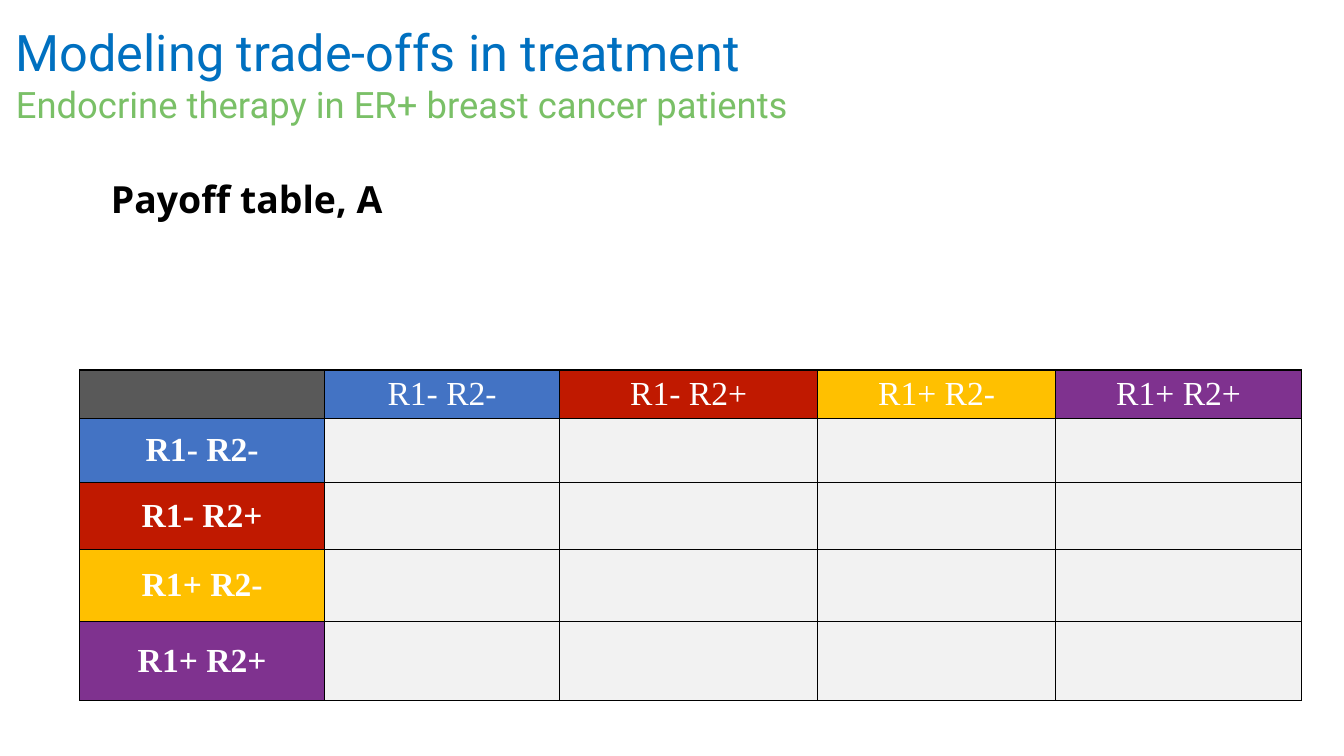
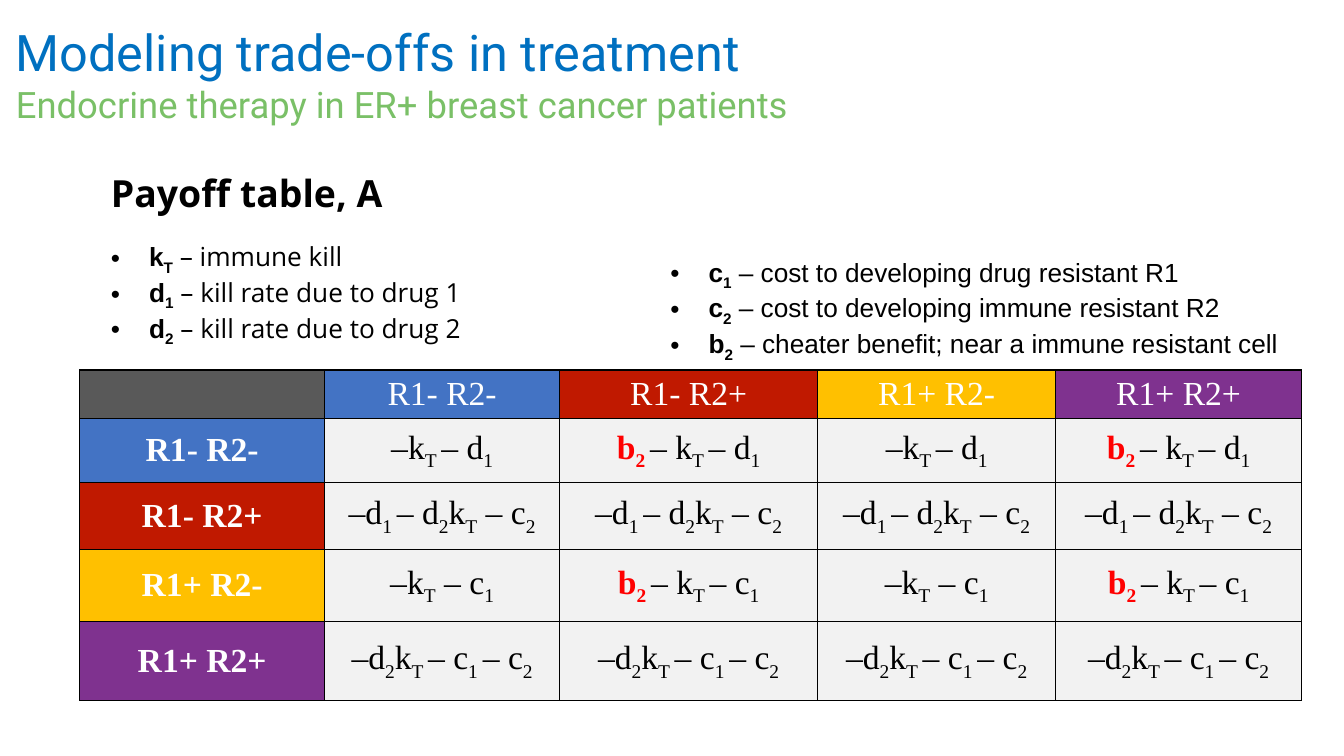
from lxml import etree
from pptx import Presentation, util as u
from pptx.dml.color import RGBColor
from pptx.enum import text
from pptx.oxml import ns

BLUE, GREEN, BLACK, WHITE, RED = "0070C0", "7AC067", "000000", "FFFFFF", "FF0000"
CORNER_FILL, PAYOFF_FILL = "595959", "F2F2F2"
CELL_TYPES = {
    "R1- R2-": "4373C4",
    "R1- R2+": "C01900",
    "R1+ R2-": "FFC000",
    "R1+ R2+": "7F328F",
}
COLUMN_WIDTHS = [2.43, 2.33, 2.56, 2.36, 2.44]
ROW_HEIGHTS = [0.47, 0.64, 0.66, 0.72, 0.78]
BENEFIT = "b{2 }"
TREATED = "–d{1 }– d{2}k{T} – c{2}"
RESISTANT = "–d{2}k{T }– c{1 }– c{2}"
PAYOFFS = [
    ["–k{T }– d{1}", BENEFIT + "– k{T }– d{1}"],
    [TREATED, TREATED],
    ["–k{T} – c{1}", BENEFIT + "– k{T }– c{1}"],
    [RESISTANT, RESISTANT],
]
KILL_TERMS = [
    ("k{T}", " – immune kill"),
    ("d{1}", " – kill rate due to drug 1"),
    ("d{2}", " – kill rate due to drug 2"),
]
COST_TERMS = [
    ("c{1}", " – cost to developing drug resistant R1"),
    ("c{2}", " – cost to developing immune resistant R2"),
    ("b{2}", " – cheater benefit; near a immune resistant cell"),
]


def color(value):
    """Turn a hex string into a colour."""
    return RGBColor.from_string(value)


def add_run(paragraph, content, font, size, fill=BLACK, bold=False, subscript=False):
    """Add one formatted run."""
    run = paragraph.add_run()
    run.text = content
    run.font.name = font
    run.font.size = u.Pt(size)
    run.font.bold = bold
    run.font.color.rgb = color(fill)
    if subscript:
        run._r.get_or_add_rPr().set("baseline", "-25000")


def add_formula(paragraph, formula, font, size, fill=BLACK, bold=False):
    """Add a formula whose subscripts stand in braces."""
    for index, part in enumerate(formula.replace("}", "{").split("{")):
        if part:
            add_run(paragraph, part, font, size, fill, bold, index % 2 == 1)


def add_text_box(slide, left, top, width, height, margin=None):
    """Add a wrapping text box and return its text frame."""
    shape = slide.shapes.add_textbox(*map(u.Inches, (left, top, width, height)))
    frame = shape.text_frame
    frame.word_wrap = True
    if margin is not None:
        frame.margin_left = frame.margin_right = u.Inches(margin)
        frame.margin_top = frame.margin_bottom = u.Inches(margin)
    return frame


def add_title(slide):
    """Add the two-line title."""
    frame = add_text_box(slide, 0.06, 0.03, 13.27, 1.4)
    frame.vertical_anchor = text.MSO_ANCHOR.MIDDLE
    paragraph = frame.paragraphs[0]
    add_run(paragraph, "Modeling trade-offs in treatment", "Roboto", 36, BLUE)
    paragraph.add_line_break()
    add_run(paragraph, "Endocrine therapy in ER+ breast cancer patients", "Roboto", 26, GREEN)


def add_term(paragraph, symbol, meaning, font):
    """Add a bulleted term with its meaning."""
    properties = paragraph._p.get_or_add_pPr()
    properties.set("marL", str(u.Inches(0.38)))
    properties.set("indent", str(-u.Inches(0.38)))
    etree.SubElement(properties, ns.qn("a:buFont")).set("typeface", "Arial")
    etree.SubElement(properties, ns.qn("a:buChar")).set("char", "•")
    add_formula(paragraph, symbol, "Arial", 18.7, bold=True)
    add_run(paragraph, meaning, font, 18.7)


def add_heading(slide, top, terms=()):
    """Add the table heading and the terms below it."""
    frame = add_text_box(slide, 1.06, top, 5.4, 1.9 if terms else 0.6, 0.04)
    add_run(frame.paragraphs[0], "Payoff table, A", "Open Sans", 26.7, bold=True)
    for index, (symbol, meaning) in enumerate(terms):
        paragraph = frame.add_paragraph()
        if index == 0:
            paragraph.space_before = u.Pt(18)
        add_term(paragraph, symbol, meaning, "Open Sans")


def add_cost_terms(slide):
    """Add the list of costs and benefits."""
    frame = add_text_box(slide, 6.55, 2.49, 6.37, 1.04)
    for index, (symbol, meaning) in enumerate(COST_TERMS):
        paragraph = frame.add_paragraph() if index else frame.paragraphs[0]
        add_term(paragraph, symbol, meaning, "Arial")


def style_cell(cell, fill):
    """Give a cell its borders, margins and fill, and return its paragraph."""
    properties = cell._tc.get_or_add_tcPr()
    for side in ("lnL", "lnR", "lnT", "lnB"):
        line = etree.SubElement(properties, ns.qn("a:" + side), w=str(u.Pt(1)))
        solid = etree.SubElement(line, ns.qn("a:solidFill"))
        etree.SubElement(solid, ns.qn("a:srgbClr"), val=BLACK)
    cell.margin_left = cell.margin_right = u.Inches(0.04)
    cell.margin_top = cell.margin_bottom = u.Inches(0.04)
    cell.vertical_anchor = text.MSO_ANCHOR.MIDDLE
    cell.fill.solid()
    cell.fill.fore_color.rgb = color(fill)
    paragraph = cell.text_frame.paragraphs[0]
    paragraph.alignment = text.PP_ALIGN.CENTER
    return paragraph


def add_payoff(paragraph, payoff):
    """Add a payoff with its benefit in red."""
    font, size = "Times New Roman", 24
    if payoff.startswith(BENEFIT):
        add_formula(paragraph, BENEFIT, font, size, RED, True)
        payoff = payoff[len(BENEFIT):]
    add_formula(paragraph, payoff, font, size)


def add_payoff_table(slide, payoffs=None):
    """Add the payoff table, empty when no payoffs are given."""
    count = len(CELL_TYPES) + 1
    table = slide.shapes.add_table(
        count, count, u.Inches(0.79), u.Inches(3.67),
        u.Inches(sum(COLUMN_WIDTHS)), u.Inches(sum(ROW_HEIGHTS))).table
    table.first_row = table.horz_banding = False
    for column, width in zip(table.columns, COLUMN_WIDTHS):
        column.width = u.Inches(width)
    for row, height in zip(table.rows, ROW_HEIGHTS):
        row.height = u.Inches(height)
    style_cell(table.cell(0, 0), CORNER_FILL)
    for index, (name, fill) in enumerate(CELL_TYPES.items(), 1):
        for row, column in ((0, index), (index, 0)):
            paragraph = style_cell(table.cell(row, column), fill)
            add_run(paragraph, name, "Times New Roman", 24, WHITE, column == 0)
        for column in range(1, count):
            paragraph = style_cell(table.cell(index, column), PAYOFF_FILL)
            if payoffs:
                add_payoff(paragraph, payoffs[index - 1][(column - 1) % 2])


def add_slide(presentation):
    """Add a blank slide with the shared title."""
    slide = presentation.slides.add_slide(presentation.slide_layouts[6])
    add_title(slide)
    return slide


def main():
    """Build and save the presentation."""
    presentation = Presentation()
    presentation.slide_width = u.Inches(13.33)
    presentation.slide_height = u.Inches(7.5)

    slide = add_slide(presentation)
    add_payoff_table(slide)
    add_heading(slide, 1.71)

    slide = add_slide(presentation)
    add_payoff_table(slide, PAYOFFS)
    add_heading(slide, 1.65, KILL_TERMS)
    add_cost_terms(slide)

    presentation.save("out.pptx")


if __name__ == "__main__":
    main()
